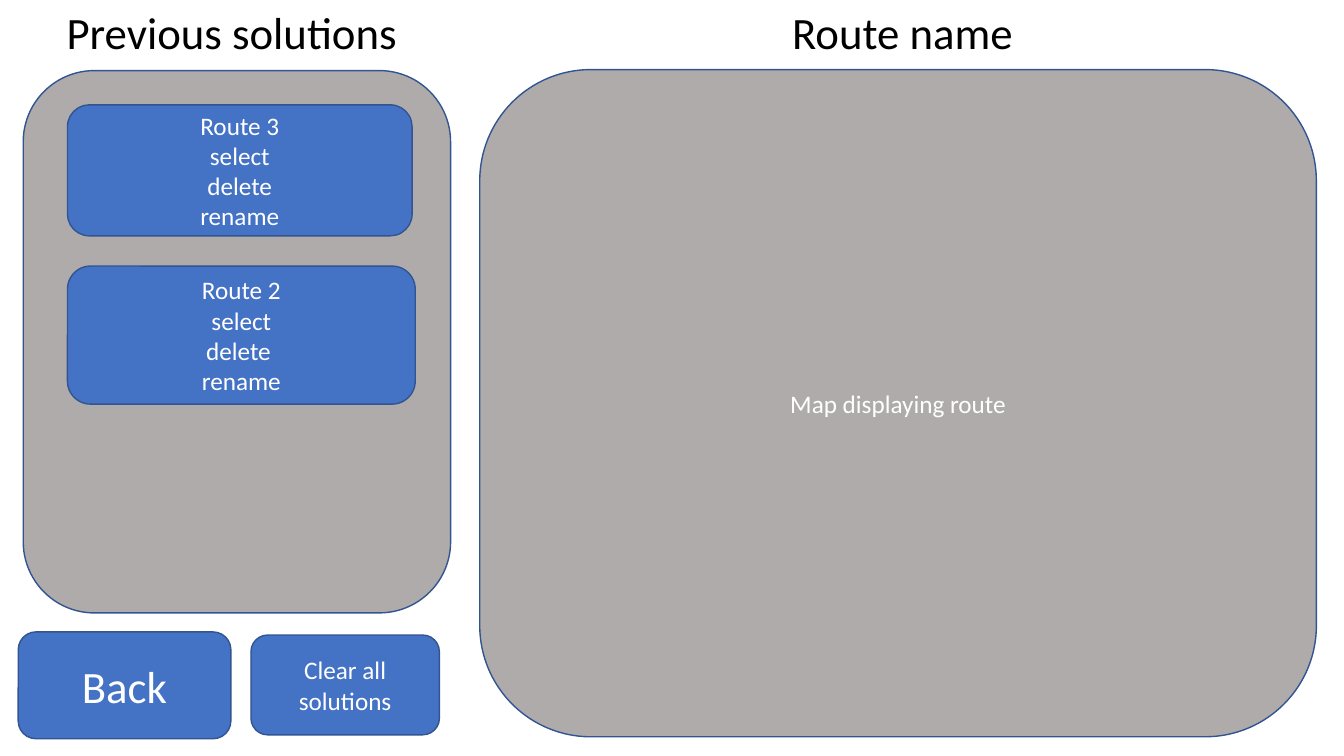
from pptx import Presentation
from pptx.dml.color import RGBColor
from pptx.enum.shapes import MSO_SHAPE as Shape
from pptx.enum.text import MSO_ANCHOR as Anchor, MSO_AUTO_SIZE as Fit, PP_ALIGN as Align
from pptx.util import Pt

FONT = "Calibri"
BLACK, WHITE, GREY, BLUE, EDGE = "000000", "FFFFFF", "AFABAB", "4472C4", "325491"
BIG, BODY = 32, 18

# Boxes are left, top, width, height in points.
TITLE = ("Previous solutions", (40.3, 0, 253.4, 46.1))
ROUTE = ("Route name", (558.7, 0, 225.4, 46.1))
PANELS = [
    ("", (16.6, 50.4, 305.3, 387.4), GREY, BODY),
    ("Map displaying route", (342.7, 49.7, 597.6, 476.6), GREY, BODY),
    ("Route 3\nselect\ndelete\nrename", (48.2, 74.9, 246.2, 93.6), BLUE, BODY),
    ("Route 2\nselect\ndelete \nrename", (48.2, 190.1, 248.4, 98.6), BLUE, BODY),
    ("Back", (13, 451.4, 151.9, 76.3), BLUE, BIG),
    ("Clear all\nsolutions", (179.3, 453.6, 134.6, 71.3), BLUE, BODY),
]


def color(hex_code):
    return RGBColor.from_string(hex_code)


def write(shape, text, size, ink, align, anchor):
    frame = shape.text_frame
    frame.text = text
    frame.word_wrap = True
    frame.vertical_anchor = anchor
    for para in frame.paragraphs:
        para.alignment = align
        for run in para.runs:
            run.font.name = FONT
            run.font.size = Pt(size)
            run.font.color.rgb = color(ink)


def head(shape, text):
    write(shape, text, BIG, BLACK, Align.LEFT, Anchor.TOP)
    shape.text_frame.auto_size = Fit.SHAPE_TO_FIT_TEXT


def panel(slide, text, box, fill, size):
    shape = slide.shapes.add_shape(Shape.ROUNDED_RECTANGLE, *map(Pt, box))
    shape.shadow.inherit = False
    shape.fill.solid()
    shape.fill.fore_color.rgb = color(fill)
    shape.line.color.rgb = color(EDGE)
    shape.line.width = Pt(1)
    if text:
        write(shape, text, size, WHITE, Align.CENTER, Anchor.MIDDLE)


def main():
    prs = Presentation()
    prs.slide_width, prs.slide_height = Pt(960), Pt(540)
    slide = prs.slides.add_slide(prs.slide_layouts[5])

    text, box = TITLE
    title = slide.shapes.title
    title.left, title.top, title.width, title.height = map(Pt, box)
    head(title, text)

    text, box = ROUTE
    head(slide.shapes.add_textbox(*map(Pt, box)), text)

    for item in PANELS:
        panel(slide, *item)
    prs.save("out.pptx")


if __name__ == "__main__":
    main()
